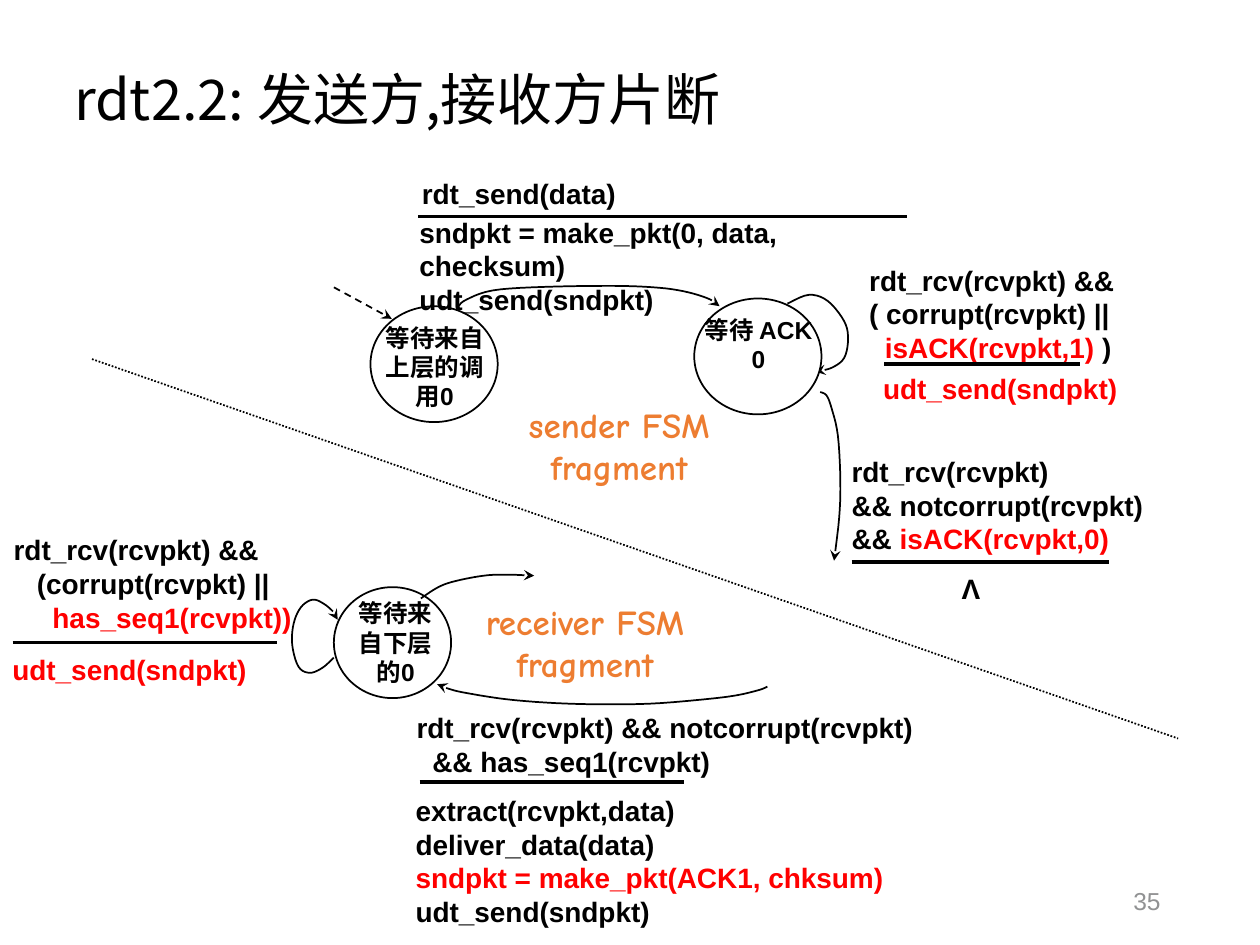
import pptx
import pptx.util
import pptx.dml.color
import pptx.enum.dml
import pptx.enum.shapes
import pptx.enum.text
import pptx.oxml.ns
from lxml import etree

Pt = pptx.util.Pt
qn = pptx.oxml.ns.qn
ALIGN = pptx.enum.text.PP_ALIGN
ANCHOR = pptx.enum.text.MSO_ANCHOR
DASH = pptx.enum.dml.MSO_LINE

COLORS = {
    "ink": "000000",
    "change": "FF0000",
    "caption": "ED7D31",
    "page": "919293",
    "paper": "FFFFFF",
}
CJK_FONT = "Noto Sans CJK SC"


def rgb(name):
    return pptx.dml.color.RGBColor.from_string(COLORS[name])


def add_text(shapes, left, top, width, height, lines, size=16, color="ink",
             font="Arial", bold=True, align=ALIGN.LEFT, anchor=ANCHOR.TOP,
             wrap=True, spacing=None, indents=()):
    box = shapes.add_textbox(Pt(left), Pt(top), Pt(width), Pt(height))
    frame = box.text_frame
    frame.word_wrap = wrap
    frame.vertical_anchor = anchor
    for index, line in enumerate(lines):
        paragraph = frame.paragraphs[0] if index == 0 else frame.add_paragraph()
        paragraph.alignment = align
        if spacing:
            paragraph.line_spacing = spacing
        if index < len(indents):
            properties = paragraph._p.get_or_add_pPr()
            properties.set("marL", str(Pt(indents[index])))
            properties.set("indent", "0")
        for piece in [(line, color)] if isinstance(line, str) else line:
            run = paragraph.add_run()
            run.text, run_color = piece
            run.font.size = Pt(size)
            run.font.bold = bold
            run.font.name = font
            run.font.color.rgb = rgb(run_color)
            east_asian = etree.SubElement(run._r.get_or_add_rPr(), qn("a:ea"))
            east_asian.set("typeface", CJK_FONT)


def style_line(line, weight=1, dash=None, arrow=False):
    line.color.rgb = rgb("ink")
    line.width = Pt(weight)
    if dash:
        line.dash_style = dash
    if arrow:
        etree.SubElement(line._get_or_add_ln(), qn("a:tailEnd")).set("type", "stealth")


def add_line(slide, x1, y1, x2, y2, **style):
    connector = slide.shapes.add_connector(
        pptx.enum.shapes.MSO_CONNECTOR.STRAIGHT, Pt(x1), Pt(y1), Pt(x2), Pt(y2))
    style_line(connector.line, **style)
    etree.SubElement(connector._element.spPr, qn("a:effectLst"))


def add_rule(slide, left, top, width):
    add_line(slide, left, top, left + width, top, weight=2)


def smooth_curve(points, steps=5):
    padded = [points[0], *points, points[-1]]
    curve = [points[0]]
    for a, b, c, d in zip(padded, padded[1:], padded[2:], padded[3:]):
        for step in range(1, steps + 1):
            t = step / steps
            curve.append(tuple(
                0.5 * (2 * q + (r - p) * t + (2 * p - 5 * q + 4 * r - s) * t ** 2
                       + (3 * q - p - 3 * r + s) * t ** 3)
                for p, q, r, s in zip(a, b, c, d)))
    return curve


def add_transition(slide, left, top, points):
    curve = [(Pt(left + x), Pt(top + y)) for x, y in smooth_curve(points)]
    builder = slide.shapes.build_freeform(*curve[0])
    builder.add_line_segments(curve[1:], close=False)
    transition = builder.convert_to_shape()
    transition.shadow.inherit = False
    transition.fill.background()
    style_line(transition.line, arrow=True)


def add_state(slide, left, top, width, height, label, label_box):
    state = slide.shapes.add_group_shape()
    circle = state.shapes.add_shape(
        pptx.enum.shapes.MSO_SHAPE.OVAL, Pt(left), Pt(top), Pt(width), Pt(height))
    circle.shadow.inherit = False
    circle.fill.solid()
    circle.fill.fore_color.rgb = rgb("paper")
    style_line(circle.line)
    dx, dy, label_width = label_box
    add_text(state.shapes, left + dx, top + dy, label_width, 48.2, label,
             size=14, align=ALIGN.CENTER)


def add_caption(slide, left, top, width, lines):
    add_text(slide.shapes, left, top, width, 55.4, lines, size=20, color="caption",
             font="Comic Neue", align=ALIGN.CENTER, wrap=False)


def add_sender(slide, left, top):
    shapes = slide.shapes
    add_state(slide, left + 21.7, top + 79, 72.7, 66.2,
              ["等待来自上层的调用0"], (-5, 5.8, 83.5))
    add_text(shapes, left + 42.6, top + 23.5, 293, 31.7,
             ["sndpkt = make_pkt(0, data, checksum)", "udt_send(sndpkt)"])
    add_text(shapes, left + 44, top + 1.2, 136, 22.3, ["rdt_send(data)"])
    add_rule(slide, left + 49, top + 27.8, 279.4)
    add_line(slide, left + 0.8, top + 68.2, left + 33.9, top + 86.2,
             dash=DASH.DASH, arrow=True)
    add_transition(slide, left, top, [
        (72, 79), (76.4, 75.3), (91.5, 70), (120.3, 68), (161.4, 67.4),
        (187, 68.5), (203, 71), (215.5, 75), (221.2, 79)])
    add_transition(slide, left, top, [
        (260, 77.5), (272.2, 72.5), (283, 76), (292.4, 87.6), (294.6, 97.7),
        (292.4, 108.5), (285.2, 114.2), (275.8, 116.4)])
    add_text(shapes, left + 307.5, top + 112.8, 167, 31.7,
             ["udt_send(sndpkt)"], color="change")
    add_text(shapes, left + 299.6, top + 50.9, 213.8, 44.6, [
        "rdt_rcv(rcvpkt) &&", "( corrupt(rcvpkt) ||",
        [("isACK(rcvpkt,1)", "change"), (" )", "ink")]], indents=(0, 0, 9))
    add_rule(slide, left + 315.4, top + 112, 111.6)
    add_transition(slide, left, top, [
        (278.7, 128), (282.3, 130), (285.2, 137.3), (288.8, 153),
        (290.2, 179), (289.5, 200), (286.6, 224.4)])
    add_text(shapes, left + 289.5, top + 160.3, 190, 44.6, [
        "rdt_rcv(rcvpkt)", "&& notcorrupt(rcvpkt)",
        [("&& ", "ink"), ("isACK(rcvpkt,0)", "change")]])
    add_rule(slide, left + 296.7, top + 225, 146.9)
    add_text(shapes, left + 350, top + 227.3, 29.5, 26.6, ["Λ"], align=ALIGN.CENTER)
    add_state(slide, left + 206.7, top + 74.6, 72.7, 66.2,
              ["等待 ACK", "0"], (-5, 5.8, 83.5))
    add_caption(slide, left + 98.7, top + 130.8, 130.3, ["sender FSM", "fragment"])


def add_receiver(slide, left, top):
    shapes = slide.shapes
    add_state(slide, left + 190.8, top + 35.5, 67, 63.4,
              ["等待来自下层的0"], (3.6, 2.9, 63.4))
    add_transition(slide, left, top, [
        (240.5, 42), (250.6, 35.5), (260.6, 32), (276.5, 29), (289.4, 28.4), (305.3, 29)])
    add_transition(slide, left, top, [
        (438.5, 92.4), (432.7, 94.6), (415.4, 98.2), (377.3, 101.8), (347.8, 102.5),
        (317.5, 101.8), (289.4, 99.6), (266.4, 96), (257, 93.8), (249.8, 91)])
    add_text(shapes, left + 231, top + 102.5, 310, 44.6,
             ["rdt_rcv(rcvpkt) && notcorrupt(rcvpkt)", "&& has_seq1(rcvpkt)"],
             indents=(0, 9))
    add_rule(slide, left + 239.8, top + 147, 151)
    add_text(shapes, left + 230.4, top + 150, 329, 54.7, [
        "extract(rcvpkt,data)", "deliver_data(data)",
        [("sndpkt = make_pkt(ACK1, chksum)", "change")], "udt_send(sndpkt)"])
    add_transition(slide, left, top, [
        (190.8, 75.8), (184.3, 81.6), (177, 84.5), (170.6, 81), (167, 68.6),
        (167.8, 56.4), (172, 47), (178.6, 42.7), (185, 45), (190.8, 50), (193, 54.2)])
    add_rule(slide, left + 7.2, top + 67.2, 151)
    add_text(shapes, left + 0.7, top + 1, 185.8, 50.4, [
        "rdt_rcv(rcvpkt) &&", "(corrupt(rcvpkt) ||",
        [("has_seq1(rcvpkt))", "change")]], indents=(0, 13.3, 22.2))
    add_text(shapes, left, top + 69.4, 160.6, 32.4, ["udt_send(sndpkt)"], color="change")
    add_caption(slide, left + 262, top + 39.8, 144.7, ["receiver FSM", "fragment"])


def main():
    deck = pptx.Presentation()
    deck.slide_width, deck.slide_height = Pt(720), Pt(540)
    slide = deck.slides.add_slide(deck.slide_layouts[6])
    add_text(slide.shapes, 35.3, 13.7, 612, 90, ["rdt2.2: 发送方,接收方片断"], size=32,
             font=CJK_FONT, bold=False, anchor=ANCHOR.MIDDLE, spacing=0.9)
    add_text(slide.shapes, 508.3, 500.4, 162, 28.8, ["35"], size=14, color="page",
             bold=False, align=ALIGN.RIGHT, anchor=ANCHOR.MIDDLE)
    add_sender(slide, 190, 96)
    add_receiver(slide, 0, 300)
    add_line(slide, 52.6, 205.2, 673.2, 422, dash=DASH.ROUND_DOT)
    deck.save("out.pptx")


if __name__ == "__main__":
    main()
